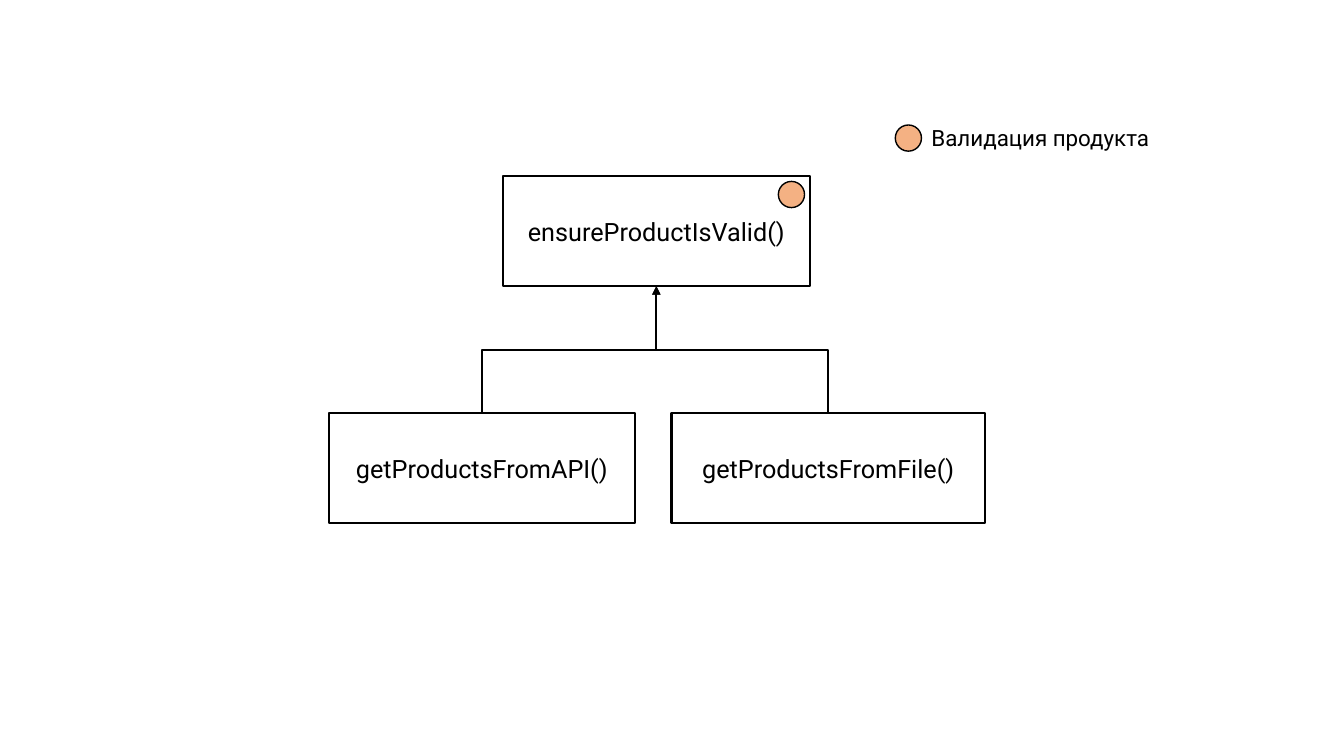
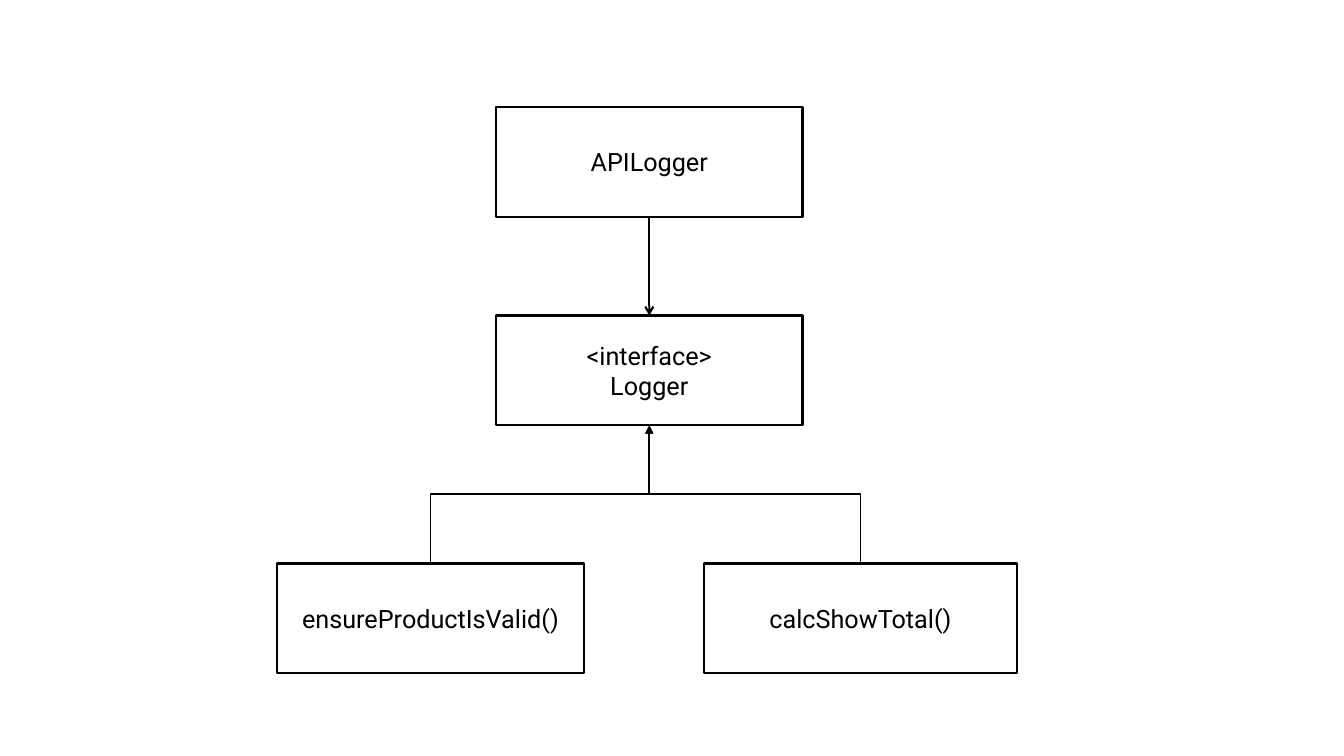
from lxml import etree
from pptx import Presentation
from pptx.dml.color import RGBColor
from pptx.enum.shapes import MSO_CONNECTOR as Connector, MSO_SHAPE as Preset
from pptx.enum.text import MSO_ANCHOR as Anchor, MSO_AUTO_SIZE as AutoSize, PP_ALIGN as Align
from pptx.oxml.ns import qn
from pptx.util import Inches, Pt

# Shared style
FONT = "Roboto"
BLACK, WHITE, ORANGE = "000000", "FFFFFF", "F4B183"
BOX_WIDTH, WIDE_BOX, BOX_HEIGHT = 3.04, 3.11, 1.09
DOT_SIZE, DOT_MARGIN = 0.26, 0.05
TOP, BOTTOM = 0, 2  # connection sites of a rectangle


def color(value):
    return RGBColor.from_string(value)


def write_text(shape, text, size=18, align=Align.CENTER, anchor=Anchor.MIDDLE, wrap=True):
    frame = shape.text_frame
    frame.text = text
    frame.word_wrap = wrap
    frame.vertical_anchor = anchor
    for paragraph in frame.paragraphs:
        paragraph.alignment = align
        paragraph.font.name = FONT
        paragraph.font.size = Pt(size)
        paragraph.font.color.rgb = color(BLACK)


def add_figure(slide, preset, left, top, width, height, fill, line_width):
    shape = slide.shapes.add_shape(
        preset, Inches(left), Inches(top), Inches(width), Inches(height))
    shape.shadow.inherit = False
    shape.fill.solid()
    shape.fill.fore_color.rgb = color(fill)
    shape.line.color.rgb = color(BLACK)
    shape.line.width = Pt(line_width)
    return shape


def add_box(slide, text, left, top, width=BOX_WIDTH):
    box = add_figure(slide, Preset.RECTANGLE, left, top, width, BOX_HEIGHT, WHITE, 1.5)
    write_text(box, text)
    return box


def add_dot(slide, left, top):
    add_figure(slide, Preset.OVAL, left, top, DOT_SIZE, DOT_SIZE, ORANGE, 1)


def add_arrow(slide, kind, start, start_site, end, end_site, head, line_width):
    arrow = slide.shapes.add_connector(kind, 0, 0, 0, 0)
    arrow.begin_connect(start, start_site)
    arrow.end_connect(end, end_site)
    arrow.line.color.rgb = color(BLACK)
    arrow.line.width = Pt(line_width)
    etree.SubElement(arrow.line._get_or_add_ln(), qn("a:tailEnd"), type=head)
    etree.SubElement(arrow._element.spPr, qn("a:effectLst"))
    return arrow


def add_elbow_up(slide, child, parent):
    """Elbow that leaves the child upwards and enters the parent from below."""
    arrow = add_arrow(slide, Connector.ELBOW, child, TOP, parent, BOTTOM, "triangle", 1.25)
    start_x, start_y = arrow.begin_x, arrow.begin_y
    end_x, end_y = arrow.end_x, arrow.end_y
    from_left = start_x < end_x
    # The frame is turned a quarter, so its sides swap around the same centre
    arrow.width, arrow.height = start_y - end_y, abs(end_x - start_x)
    arrow.left = (start_x + end_x - arrow.width) // 2
    arrow.top = (start_y + end_y - arrow.height) // 2
    frame = arrow._element.spPr.find(qn("a:xfrm"))
    frame.set("rot", str((90 if from_left else 270) * 60000))
    frame.set("flipH", "1" if from_left else "0")
    frame.set("flipV", "1")


def add_tree(slide, left, top, parent_text, parent_offset, child_texts, drop, gap):
    """Parent box with two children; left and top are the corner of the whole tree."""
    parent = add_box(slide, parent_text, left + parent_offset, top)
    child_left = left
    for text, width in zip(child_texts, (BOX_WIDTH, WIDE_BOX)):
        child = add_box(slide, text, child_left, top + BOX_HEIGHT + drop, width)
        add_elbow_up(slide, child, parent)
        child_left += width + gap
    return parent


def add_legend(slide, left, top, text):
    add_dot(slide, left, top + 0.06)
    label = slide.shapes.add_textbox(
        Inches(left + DOT_SIZE), Inches(top), Inches(2.46), Inches(0.37))
    write_text(label, text, size=16, align=Align.LEFT, anchor=Anchor.TOP, wrap=False)
    label.text_frame.auto_size = AutoSize.SHAPE_TO_FIT_TEXT


def build_validation_slide(slide):
    left, top, offset = 3.26, 1.75, 1.73
    add_tree(slide, left, top, "ensureProductIsValid()", offset,
             ("getProductsFromAPI()", "getProductsFromFile()"), drop=1.26, gap=0.36)
    # Marker in the top right corner of the parent
    add_dot(slide, left + offset + BOX_WIDTH - DOT_SIZE - DOT_MARGIN, top + DOT_MARGIN)
    add_legend(slide, 8.88, 1.18, "Валидация продукта")


def build_logger_slide(slide):
    left, top, offset = 2.75, 3.13, 2.17
    interface = add_tree(slide, left, top, "<interface>\nLogger", offset,
                         ("ensureProductIsValid()", "calcShowTotal()"), drop=1.37, gap=1.19)
    logger = add_box(slide, "APILogger", left + offset, 1.06)
    add_arrow(slide, Connector.STRAIGHT, logger, BOTTOM, interface, TOP, "arrow", 1.5)


def main():
    presentation = Presentation()
    presentation.slide_width, presentation.slide_height = Inches(13.33), Inches(7.5)
    blank_layout = presentation.slide_layouts[6]
    for build in (build_validation_slide, build_logger_slide):
        build(presentation.slides.add_slide(blank_layout))
    presentation.save("out.pptx")


if __name__ == "__main__":
    main()
